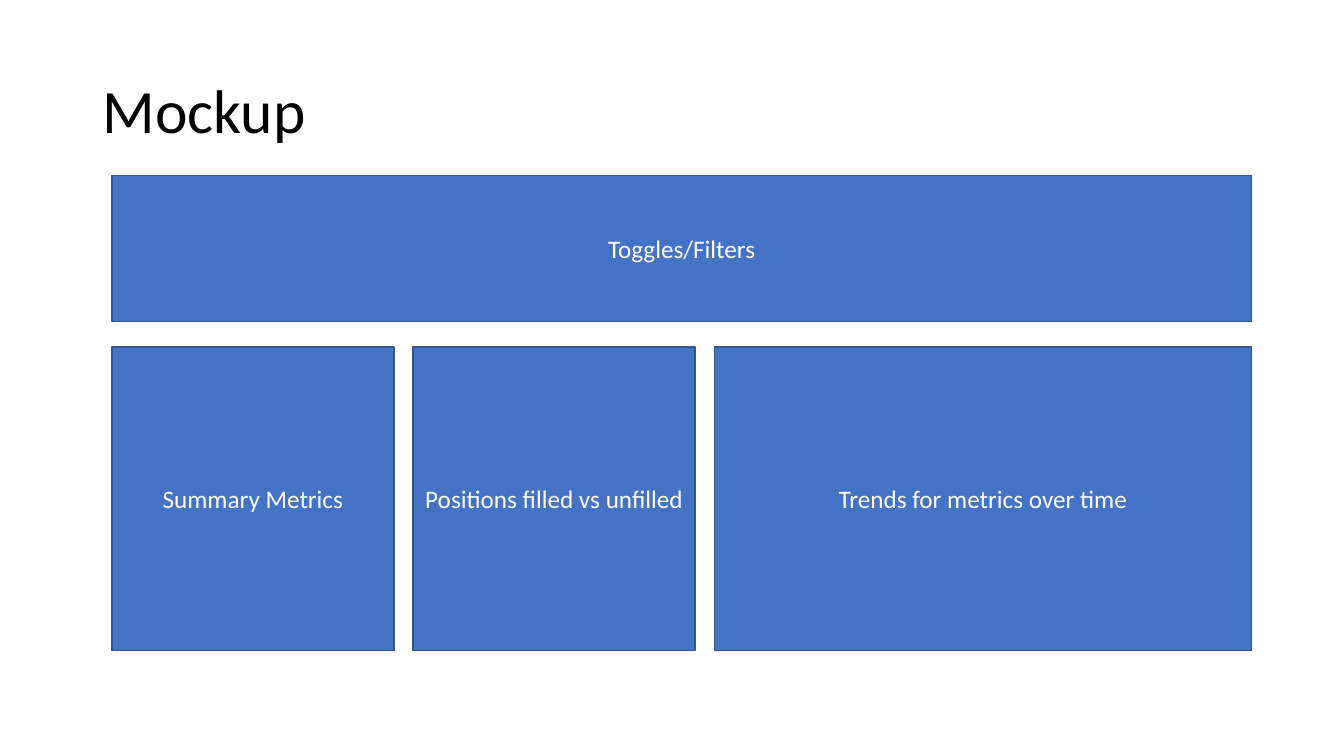
from pptx import Presentation
from pptx.dml.color import RGBColor
from pptx.enum.shapes import MSO_SHAPE
from pptx.enum.text import MSO_ANCHOR, PP_ALIGN
from pptx.util import Cm, Pt

COLORS = {"title": "000000", "panel": "4472C4", "border": "325491", "label": "FFFFFF"}
FONT = "Calibri"

LEFT = 2.82
FULL_WIDTH = 28.72
GAP = 0.48
FILTERS_TOP, FILTERS_HEIGHT = 4.42, 3.68
METRICS_TOP, METRICS_HEIGHT = 8.74, 7.65
NARROW = 7.11
WIDE = FULL_WIDTH - 2 * (NARROW + GAP)

METRIC_PANELS = [
    ("Summary Metrics", NARROW),
    ("Positions filled vs unfilled", NARROW),
    ("Trends for metrics over time", WIDE),
]


def color(name):
    return RGBColor.from_string(COLORS[name])


def write(frame, wording, size, color_name, align):
    frame.word_wrap = True
    frame.vertical_anchor = MSO_ANCHOR.MIDDLE
    paragraph = frame.paragraphs[0]
    paragraph.alignment = align
    run = paragraph.add_run()
    run.text = wording
    run.font.size = Pt(size)
    run.font.name = FONT
    run.font.color.rgb = color(color_name)
    return paragraph


def set_title(slide, wording):
    title = slide.shapes.title
    title.left, title.top = Cm(2.33), Cm(1.01)
    title.width, title.height = Cm(29.21), Cm(3.68)
    heading = write(title.text_frame, wording, 44, "title", PP_ALIGN.LEFT)
    heading.line_spacing = 0.9


def add_panel(slide, label, left, top, width, height):
    panel = slide.shapes.add_shape(
        MSO_SHAPE.RECTANGLE, Cm(left), Cm(top), Cm(width), Cm(height)
    )
    panel.shadow.inherit = False
    panel.fill.solid()
    panel.fill.fore_color.rgb = color("panel")
    panel.line.color.rgb = color("border")
    panel.line.width = Pt(1)
    write(panel.text_frame, label, 18, "label", PP_ALIGN.CENTER)


def main():
    deck = Presentation()
    deck.slide_width, deck.slide_height = Cm(33.87), Cm(19.05)
    slide = deck.slides.add_slide(deck.slide_layouts.get_by_name("Title Only"))

    set_title(slide, "Mockup")
    add_panel(slide, "Toggles/Filters", LEFT, FILTERS_TOP, FULL_WIDTH, FILTERS_HEIGHT)
    left = LEFT
    for label, width in METRIC_PANELS:
        add_panel(slide, label, left, METRICS_TOP, width, METRICS_HEIGHT)
        left += width + GAP

    deck.save("out.pptx")


if __name__ == "__main__":
    main()
